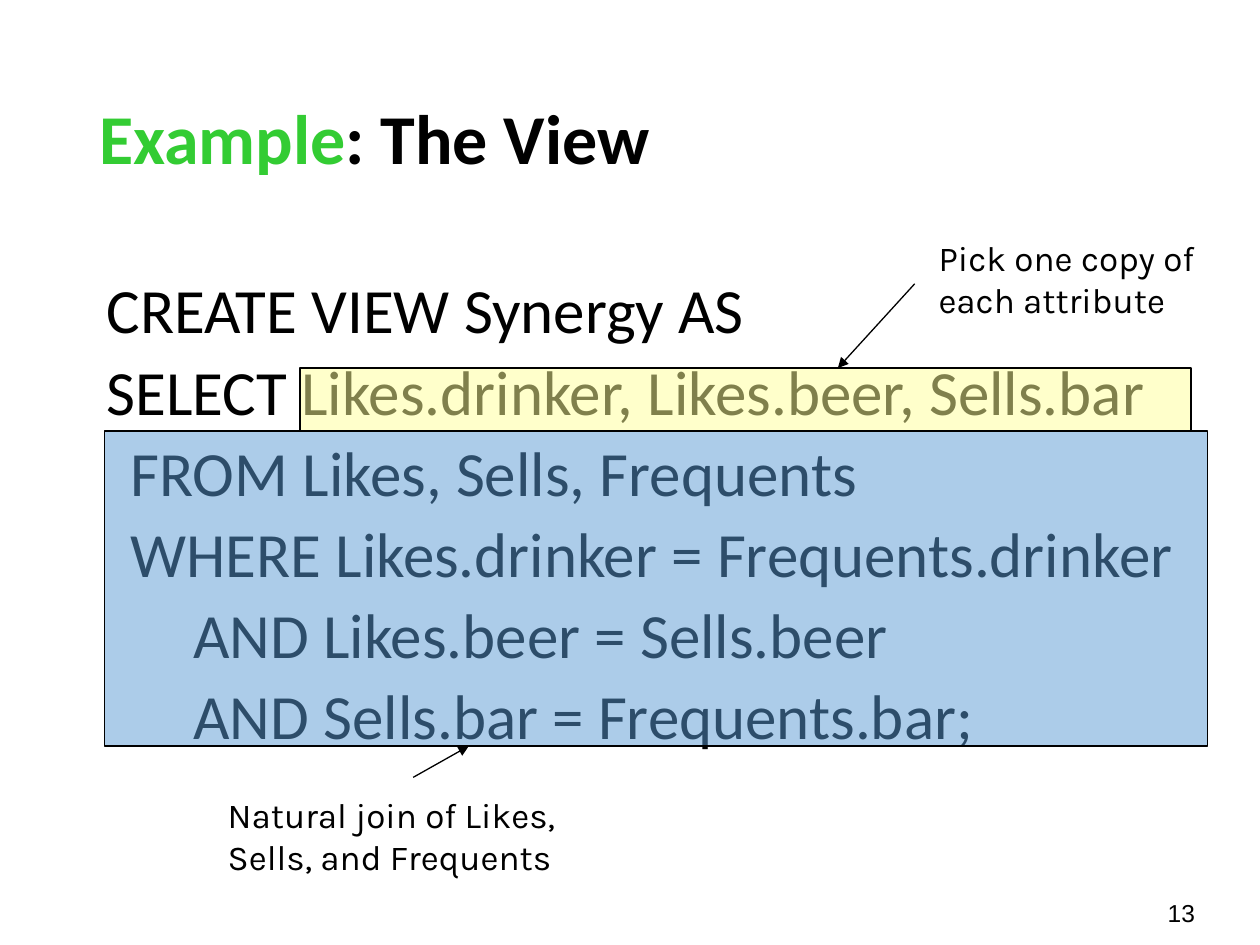
from lxml.etree import SubElement
from pptx import Presentation
from pptx.dml.color import RGBColor
from pptx.enum.shapes import MSO_CONNECTOR, MSO_SHAPE
from pptx.enum.text import MSO_ANCHOR
from pptx.oxml.ns import qn
from pptx.util import Cm, Pt

BLACK = RGBColor(0x00, 0x00, 0x00)
GREEN = RGBColor(0x33, 0xCC, 0x33)
BLUE = RGBColor(0x5B, 0x9B, 0xD5)
YELLOW = RGBColor(0xFF, 0xFF, 0x99)

QUERY = [
    "CREATE VIEW Synergy AS",
    "SELECT Likes.drinker, Likes.beer, Sells.bar",
    "\tFROM Likes, Sells, Frequents",
    "\tWHERE Likes.drinker = Frequents.drinker",
    "\t\tAND Likes.beer = Sells.beer",
    "\t\tAND Sells.bar = Frequents.bar;",
]


def add_text(slide, box, text, font_name, size, wrap=True):
    shape = slide.shapes.add_textbox(*(Cm(length) for length in box))
    text_frame = shape.text_frame
    text_frame.word_wrap = wrap
    text_frame.text = text
    for paragraph in text_frame.paragraphs:
        for run in paragraph.runs:
            run.font.name = font_name
            run.font.size = Pt(size)
            run.font.color.rgb = BLACK
    return text_frame


def add_title(slide, box, keyword, rest):
    text_frame = add_text(slide, box, keyword, "Calibri", 40)
    text_frame.vertical_anchor = MSO_ANCHOR.MIDDLE
    paragraph = text_frame.paragraphs[0]
    paragraph.line_spacing = 0.9
    paragraph.add_run().text = rest
    for run, color in zip(paragraph.runs, (GREEN, BLACK)):
        run.font.name = "Calibri"
        run.font.size = Pt(40)
        run.font.bold = True
        run.font.color.rgb = color


def add_query(slide, box):
    text_frame = add_text(slide, box, "\n".join(QUERY), "Calibri", 36)
    for index, paragraph in enumerate(text_frame.paragraphs):
        paragraph.line_spacing = 0.9
        if index:
            paragraph.space_before = Pt(7.5)
        properties = paragraph._p.get_or_add_pPr()
        properties.set("marL", str(Cm(0.48)))
        properties.set("indent", str(-Cm(0.48)))


def add_highlight(slide, box, color):
    shape = slide.shapes.add_shape(MSO_SHAPE.RECTANGLE, *(Cm(length) for length in box))
    shape.shadow.inherit = False
    shape.fill.solid()
    shape.fill.fore_color.rgb = color
    color_element = shape._element.spPr.find(qn("a:solidFill"))[0]
    SubElement(color_element, qn("a:alpha")).set("val", "50000")
    shape.line.color.rgb = BLACK
    shape.line.width = Pt(0.75)


def add_arrow(slide, start, end):
    points = (Cm(length) for length in (*start, *end))
    connector = slide.shapes.add_connector(MSO_CONNECTOR.STRAIGHT, *points)
    connector.line.color.rgb = BLACK
    connector.line.width = Pt(0.75)
    SubElement(connector.line._get_or_add_ln(), qn("a:tailEnd")).set("type", "triangle")
    SubElement(connector._element.spPr, qn("a:effectLst"))


def add_callout(slide, box, color, note, note_box, start, end):
    left, top = box[:2]
    note_left, note_top, note_width, note_height = note_box
    add_highlight(slide, box, color)
    add_text(slide, (left + note_left, top + note_top, note_width, note_height),
             note, "Karla", 20, wrap=False)
    add_arrow(slide, (left + start[0], top + start[1]), (left + end[0], top + end[1]))


def main():
    presentation = Presentation()
    presentation.slide_width = Cm(25.4)
    presentation.slide_height = Cm(19.05)
    slide = presentation.slides.add_slide(presentation.slide_layouts[6])
    add_text(slide, (23.29, 17.98, 1.47, 0.86), "13", "Arial", 14)
    add_title(slide, (1.75, 1.02, 21.92, 3.68), "Example", ": The View")
    add_query(slide, (1.9, 5.51, 23.5, 11.43))
    add_callout(slide, (2.11, 8.69, 22.23, 6.35), BLUE,
                "Natural join of Likes,\nSells, and Frequents",
                (2.23, 7.19, 7.32, 1.96), (6.22, 6.98), (7.34, 6.35))
    add_callout(slide, (6.05, 7.42, 17.96, 1.27), YELLOW,
                "Pick one copy of\neach attribute",
                (12.62, -2.77, 5.87, 1.96), (12.39, -1.7), (10.84, 0))
    presentation.save("out.pptx")


if __name__ == "__main__":
    main()
